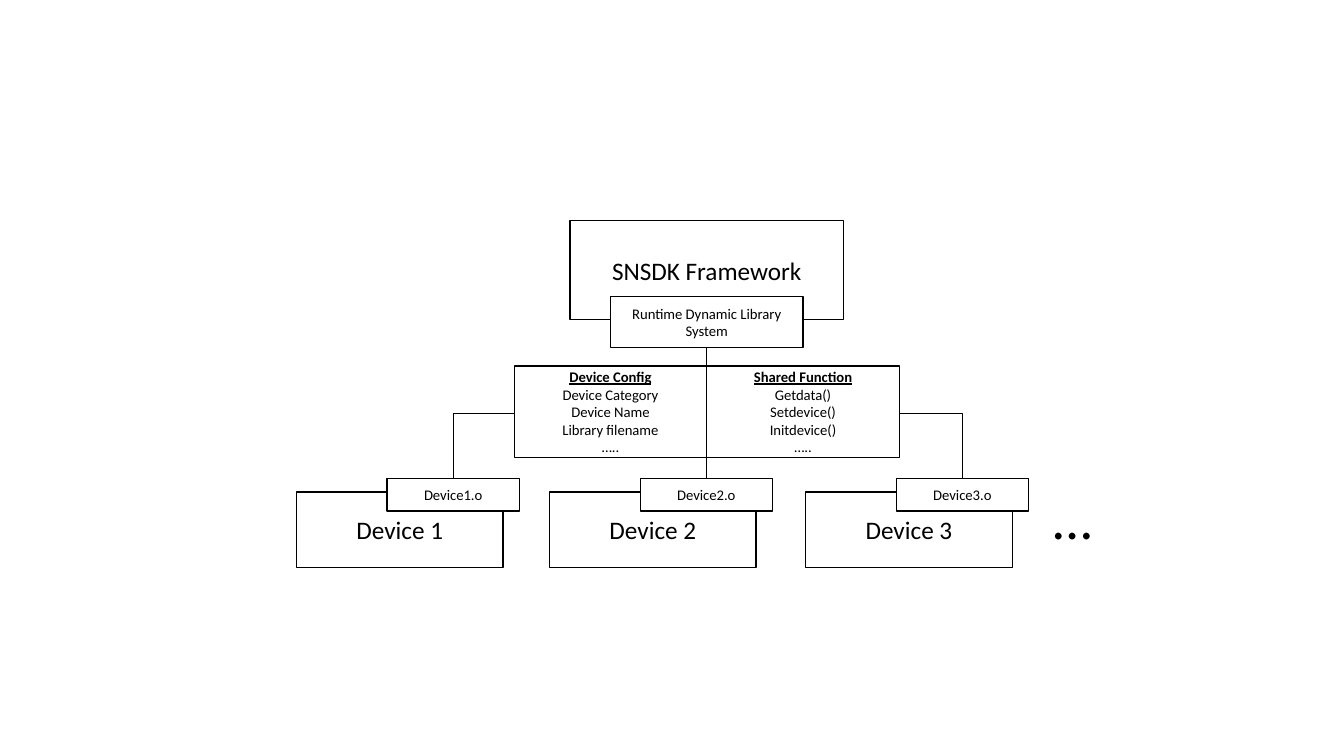
from lxml.etree import SubElement
from pptx import Presentation
from pptx.dml.color import RGBColor
from pptx.enum.shapes import MSO_CONNECTOR, MSO_SHAPE
from pptx.enum.text import MSO_ANCHOR, MSO_AUTO_SIZE, PP_ALIGN
from pptx.oxml.ns import qn
from pptx.util import Inches, Pt

BLACK = RGBColor(0, 0, 0)
WHITE = RGBColor(255, 255, 255)
FONT = "Calibri"
LARGE, SMALL, DOTS = 18, 10.5, 40

FRAMEWORK = "SNSDK Framework"
LOADER = "Runtime Dynamic Library System"
PANELS = [
    ["Device Config", "Device Category", "Device Name", "Library filename", "….."],
    ["Shared Function", "Getdata()", "Setdevice()", "Initdevice()", "….."],
]
DEVICES = [("Device 1", "Device1.o", 2.94),
           ("Device 2", "Device2.o", 5.45),
           ("Device 3", "Device3.o", 7.99)]

AXIS = 7.01                      # centre line of the framework stack
FRAME_W, FRAME_H, FRAME_TOP = 2.71, 0.98, 2.19
LOADER_H, LOADER_TOP = 0.51, 2.94
PANEL_W, PANEL_H, PANEL_TOP = 1.91, 0.91, 3.63
DEVICE_W, DEVICE_H, DEVICE_TOP = 2.05, 0.75, 4.88
TAB_W, TAB_H, TAB_TOP, TAB_SHIFT = 1.31, 0.32, 4.75, 0.9


def style_text(tf, size):
    """Format every run of a text frame."""
    for p in tf.paragraphs:
        for r in p.runs:
            r.font.name = FONT
            r.font.size = Pt(size)
            r.font.color.rgb = BLACK


def add_box(s, text, size, left, top, width, height):
    """Add an outlined white box with centred text."""
    sp = s.shapes.add_shape(MSO_SHAPE.RECTANGLE, Inches(left), Inches(top),
                            Inches(width), Inches(height))
    sp.shadow.inherit = False
    sp.fill.solid()
    sp.fill.fore_color.rgb = WHITE
    sp.line.color.rgb = BLACK
    sp.line.width = Pt(1)
    tf = sp.text_frame
    tf.text = text
    tf.word_wrap = True
    tf.vertical_anchor = MSO_ANCHOR.MIDDLE
    for p in tf.paragraphs:
        p.alignment = PP_ALIGN.CENTER
    style_text(tf, size)
    return sp


def add_riser(s, x1, y1, x2, y2):
    """Add an elbow connector that leaves and arrives vertically."""
    cx, cy = (x1 + x2) / 2, (y1 + y2) / 2
    along, across = (y1 - y2) / 2, (x2 - x1) / 2
    # Laid out sideways about its centre, then turned a quarter left.
    c = s.shapes.add_connector(MSO_CONNECTOR.ELBOW,
                               Inches(cx - along), Inches(cy - across),
                               Inches(cx + along), Inches(cy + across))
    c.line.color.rgb = BLACK
    c.line.width = Pt(0.5)
    sp_pr = c._element.spPr
    sp_pr.find(qn("a:xfrm")).set("rot", str(270 * 60000))
    SubElement(sp_pr, qn("a:effectLst"))


prs = Presentation()
prs.slide_width, prs.slide_height = Inches(13.33), Inches(7.5)
s = prs.slides.add_slide(prs.slide_layouts[6])

add_box(s, FRAMEWORK, LARGE, AXIS - FRAME_W / 2, FRAME_TOP, FRAME_W, FRAME_H)
for name, library, left in DEVICES:
    add_box(s, name, LARGE, left, DEVICE_TOP, DEVICE_W, DEVICE_H)
    add_box(s, library, SMALL, left + TAB_SHIFT, TAB_TOP, TAB_W, TAB_H)

more = s.shapes.add_textbox(Inches(10.35), Inches(4.75), Inches(0.59), Inches(0.77))
more.text_frame.text = "…"
more.text_frame.word_wrap = False
more.text_frame.auto_size = MSO_AUTO_SIZE.SHAPE_TO_FIT_TEXT
style_text(more.text_frame, DOTS)

add_box(s, LOADER, SMALL, AXIS - PANEL_W / 2, LOADER_TOP, PANEL_W, LOADER_H)
for name, library, left in DEVICES:
    add_riser(s, left + TAB_SHIFT + TAB_W / 2, TAB_TOP, AXIS, LOADER_TOP + LOADER_H)

for i, lines in enumerate(PANELS):
    panel = add_box(s, "\n".join(lines), SMALL, AXIS + (i - 1) * PANEL_W,
                    PANEL_TOP, PANEL_W, PANEL_H)
    heading = panel.text_frame.paragraphs[0].runs[0].font
    heading.bold = heading.underline = True

prs.save("out.pptx")
